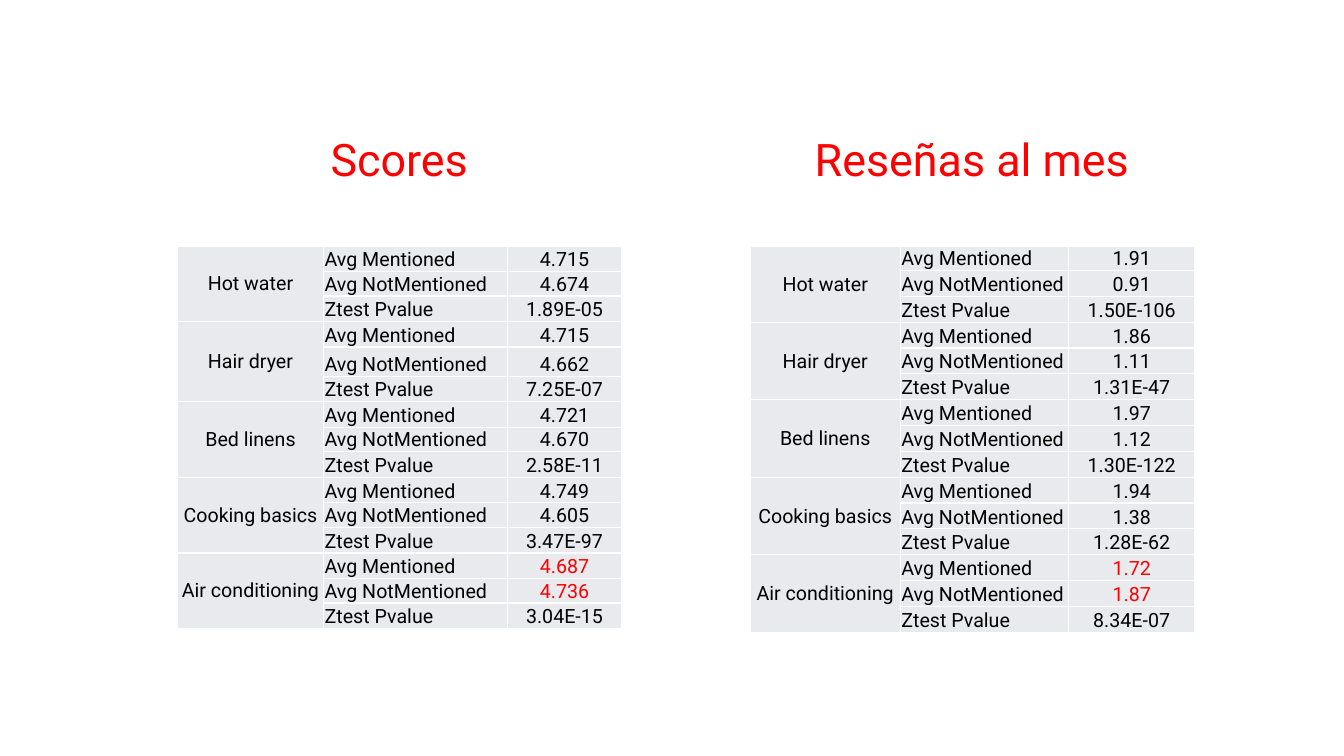
from lxml import etree
from pptx import Presentation
from pptx.dml.color import RGBColor
from pptx.enum.text import MSO_ANCHOR, PP_ALIGN
from pptx.oxml.ns import qn
from pptx.util import Inches, Pt

LEFT, CENTER = PP_ALIGN.LEFT, PP_ALIGN.CENTER
MIDDLE, BOTTOM = MSO_ANCHOR.MIDDLE, MSO_ANCHOR.BOTTOM
RED, BLACK, GRAY, WHITE = "FF0000", "000000", "E8EAED", "FFFFFF"


def color(code):
    return RGBColor.from_string(code)


def write(frame, text, size, code, align):
    para = frame.paragraphs[0]
    para.alignment = align
    run = para.add_run()
    run.text = text
    run.font.size = Pt(size)
    run.font.name = "Roboto"
    run.font.color.rgb = color(code)
    return para


deck = Presentation()
deck.slide_width, deck.slide_height = Inches(13.33), Inches(7.5)
slide = deck.slides.add_slide(deck.slide_layouts[6])

topics = ["Hot water", "Hair dryer", "Bed linens", "Cooking basics", "Air conditioning"]
labels = ["Avg Mentioned", "Avg NotMentioned", "Ztest Pvalue"]
panels = [
    ("Scores", 1.97, 1.76, 3.79, [1.45, 1.82, 1.14],
     [21, 20, 21, 21, 24, 21] + [21, 20, 21] * 3,
     ["4.715", "4.674", "1.89E-05", "4.715", "4.662", "7.25E-07",
      "4.721", "4.670", "2.58E-11", "4.749", "4.605", "3.47E-97",
      "4.687", "4.736", "3.04E-15"]),
    ("Reseñas al mes", 7.65, 7.44, 3.82, [1.49, 1.67, 1.25],
     [9] + [10] * 14,
     ["1.91", "0.91", "1.50E-106", "1.86", "1.11", "1.31E-47",
      "1.97", "1.12", "1.30E-122", "1.94", "1.38", "1.28E-62",
      "1.72", "1.87", "8.34E-07"]),
]
red_rows = (12, 13)
step = len(labels)

for title, title_x, left, tall, widths, shares, values in panels:
    box = slide.shapes.add_textbox(Inches(title_x), Inches(0.88), Inches(3.98), Inches(1.45))
    frame = box.text_frame
    frame.word_wrap = True
    frame.vertical_anchor = MIDDLE
    write(frame, title, 32, RED, CENTER).line_spacing = 0.9

    table = slide.shapes.add_table(
        len(values), len(widths), Inches(left), Inches(2.44),
        Inches(sum(widths)), Inches(tall)).table
    table.first_row = table.horz_banding = False
    for col, wide in zip(table.columns, widths):
        col.width = Inches(wide)
    for row, share in zip(table.rows, shares):
        row.height = Inches(tall * share / sum(shares))

    for cell in table.iter_cells():
        cell.margin_left = cell.margin_right = cell.margin_top = Inches(0.01)
        cell.margin_bottom = 0
        cell.vertical_anchor = BOTTOM
        props = cell._tc.get_or_add_tcPr()
        for side in ("a:lnL", "a:lnR", "a:lnT", "a:lnB"):
            line = etree.SubElement(props, qn(side), w=str(Pt(1)))
            fill = etree.SubElement(line, qn("a:solidFill"))
            etree.SubElement(fill, qn("a:srgbClr"), val=WHITE)
        cell.fill.solid()
        cell.fill.fore_color.rgb = color(GRAY)

    for row, value in enumerate(values):
        tint = RED if row in red_rows else BLACK
        write(table.cell(row, 1).text_frame, labels[row % step], 14, BLACK, LEFT)
        write(table.cell(row, 2).text_frame, value, 14, tint, CENTER)

    for num, topic in enumerate(topics):
        head = table.cell(num * step, 0)
        head.merge(table.cell(num * step + step - 1, 0))
        head.vertical_anchor = MIDDLE
        write(head.text_frame, topic, 14, BLACK, CENTER)

deck.save("out.pptx")
